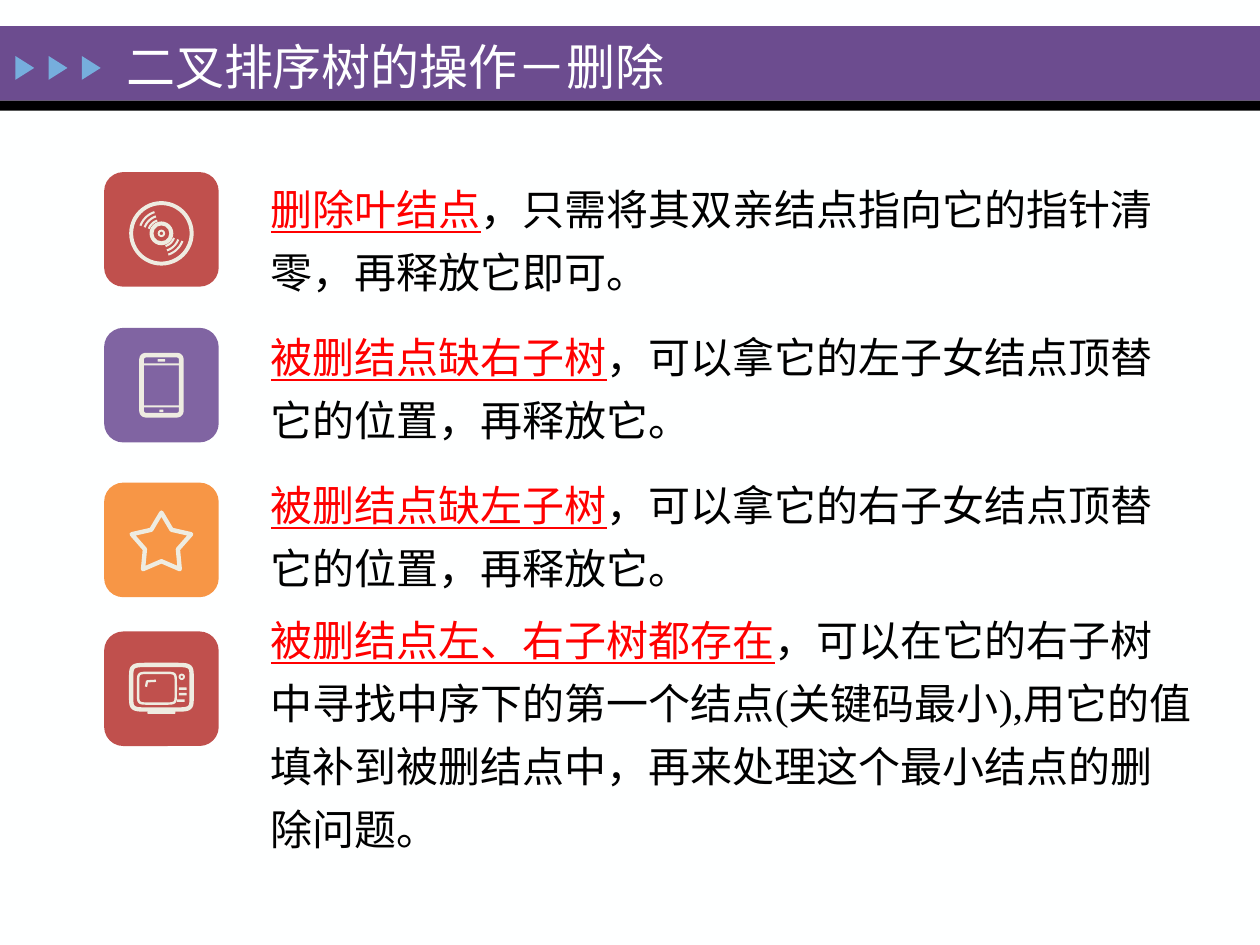
import math

import pptx
import pptx.dml.color
import pptx.enum.shapes
import pptx.enum.text
import pptx.util

Cm = pptx.util.Cm
Pt = pptx.util.Pt
SHAPE = pptx.enum.shapes.MSO_SHAPE
FONT = "Times New Roman"
COLORS = {
    "background": "FEFFFF", "band": "6C4C8F", "rule": "000000",
    "arrow": "76AEDD", "title": "FEFFFF", "key": "FF0000", "text": "000000",
    "red": "C0504D", "purple": "8064A2", "orange": "F79646", "icon": "EEECE1",
}
TILE = 2.31

# Key phrase, explanation, space before in points
CASES = [
    ("删除叶结点", "，只需将其双亲结点指向它的指针清零，再释放它即可。", 12.5),
    ("被删结点缺右子树", "，可以拿它的左子女结点顶替它的位置，再释放它。", 12.5),
    ("被删结点缺左子树", "，可以拿它的右子女结点顶替它的位置，再释放它。", 12.5),
    ("被删结点左、右子树都存在",
     "，可以在它的右子树中寻找中序下的第一个结点(关键码最小),"
     "用它的值填补到被删结点中，再来处理这个最小结点的删除问题。", 5),
]


def color(name):
    return pptx.dml.color.RGBColor.from_string(COLORS[name])


def add_filled(slide, kind, left, top, width, height, fill):
    shape = slide.shapes.add_shape(kind, Cm(left), Cm(top), Cm(width), Cm(height))
    shape.shadow.inherit = False
    shape.fill.solid()
    shape.fill.fore_color.rgb = color(fill)
    shape.line.fill.background()
    return shape


def add_centred(slide, kind, center, offset, size, fill="icon"):
    """Place a filled shape by its middle, offset from the icon's center."""
    left = center[0] + offset[0] - size[0] / 2
    top = center[1] + offset[1] - size[1] / 2
    return add_filled(slide, kind, left, top, *size, fill)


def add_ring(slide, center, offset, diameter, thickness):
    ring = add_centred(slide, SHAPE.DONUT, center, offset, (diameter, diameter))
    ring.adjustments[0] = thickness / diameter


def style_stroke(shape, width):
    shape.shadow.inherit = False
    shape.fill.background()
    shape.line.color.rgb = color("icon")
    shape.line.width = Pt(width)


def add_stroke(slide, center, points, width, close=False):
    """Draw an outline through points given relative to the icon's center."""
    places = [(Cm(center[0] + x), Cm(center[1] + y)) for x, y in points]
    builder = slide.shapes.build_freeform(*places[0])
    builder.add_line_segments(places[1:], close=close)
    style_stroke(builder.convert_to_shape(), width)


def polar(radius, degrees):
    angle = math.radians(degrees)
    return radius * math.cos(angle), radius * math.sin(angle)


def barrel(offset, half_width, half_height):
    """Points of a rectangle with bulging sides and soft corners."""
    points = []
    for degrees in range(0, 360, 5):
        x, y = polar(1, degrees)
        points.append((offset[0] + half_width * math.copysign(abs(x) ** 0.25, x),
                       offset[1] + half_height * math.copysign(abs(y) ** 0.25, y)))
    return points


def draw_disc(slide, center):
    center = (center[0], center[1] + 0.08)
    for diameter, thickness in ((1.3, 0.08), (0.48, 0.08), (0.15, 0.04)):
        add_ring(slide, center, (0, 0), diameter, thickness)
    for start in (20, 200):
        for radius in (0.27, 0.36, 0.45):
            arc = [polar(radius, start + step) for step in range(0, 53, 4)]
            add_stroke(slide, center, arc, 1.2)


def draw_phone(slide, center):
    body = add_centred(slide, SHAPE.ROUNDED_RECTANGLE, center, (0, 0), (0.8, 1.21))
    body.adjustments[0] = 0.1
    style_stroke(body, 2.7)
    for y in (-0.42, 0.43):
        add_centred(slide, SHAPE.RECTANGLE, center, (0, y), (0.72, 0.04))
    for y, width in ((-0.5, 0.15), (0.52, 0.08)):
        add_centred(slide, SHAPE.ROUNDED_RECTANGLE, center, (0, y), (width, 0.05))


def draw_star(slide, center):
    center = (center[0], center[1] + 0.08)
    points = [polar(0.35 if index % 2 else 0.63, index * 36 - 90)
              for index in range(10)]
    add_stroke(slide, center, points, 2.5, close=True)


def draw_television(slide, center):
    add_stroke(slide, center, barrel((0, -0.03), 0.61, 0.45), 2.5, close=True)
    add_stroke(slide, center, barrel((-0.09, -0.01), 0.38, 0.31), 1.4, close=True)
    add_stroke(slide, center, [(-0.31, -0.04), (-0.29, -0.15), (-0.11, -0.16)], 1.3)
    add_centred(slide, SHAPE.ROUNDED_RECTANGLE, center, (0, 0.47), (0.56, 0.07))
    add_ring(slide, center, (0.41, -0.24), 0.13, 0.04)
    for x, y in ((0.43, 0), (0.43, 0.11), (0.39, 0.24)):
        add_centred(slide, SHAPE.ROUNDED_RECTANGLE, center, (x, y), (0.16, 0.05))


def add_run(paragraph, text, size, fill, underline=None):
    run = paragraph.add_run()
    run.text = text
    run.font.name = FONT
    run.font.size = Pt(size)
    run.font.color.rgb = color(fill)
    run.font.underline = underline


def add_header(slide, left, top, width):
    # Band, rule and three arrowheads
    add_filled(slide, SHAPE.RECTANGLE, left, top, width, 1.5, "band")
    add_filled(slide, SHAPE.RECTANGLE, left, top + 1.5, width, 0.2, "rule")
    for index in range(3):
        arrow = add_filled(slide, SHAPE.ISOSCELES_TRIANGLE,
                           left + 0.26 + 0.67 * index, top + 0.65, 0.48, 0.38, "arrow")
        arrow.rotation = 90

    # Title, brought in front of the band
    title = slide.shapes.title
    title.left, title.top = Cm(left + 2.29), Cm(top + 0.08)
    title.width, title.height = Cm(17.78), Cm(1.42)
    title.element.getparent().append(title.element)
    frame = title.text_frame
    frame.auto_size = pptx.enum.text.MSO_AUTO_SIZE.NONE
    frame.vertical_anchor = pptx.enum.text.MSO_ANCHOR.MIDDLE
    paragraph = frame.paragraphs[0]
    paragraph.alignment = pptx.enum.text.PP_ALIGN.LEFT
    add_run(paragraph, "二叉排序树的操作－删除", 28, "title")


def add_cases(slide, left, top, width, height):
    box = slide.shapes.add_textbox(Cm(left), Cm(top), Cm(width), Cm(height))
    frame = box.text_frame
    frame.word_wrap = True
    for index, (key, explanation, space) in enumerate(CASES):
        paragraph = frame.add_paragraph() if index else frame.paragraphs[0]
        paragraph.line_spacing = 1.25
        paragraph.space_before = Pt(space)
        add_run(paragraph, key, 24, "key", True)
        add_run(paragraph, explanation, 24, "text")


def add_tile(slide, left, top, fill, draw_icon):
    add_filled(slide, SHAPE.ROUNDED_RECTANGLE, left, top, TILE, TILE, fill)
    draw_icon(slide, (left + TILE / 2, top + TILE / 2))


def main():
    presentation = pptx.Presentation()
    presentation.slide_width, presentation.slide_height = Cm(25.4), Cm(19.05)
    slide = presentation.slides.add_slide(presentation.slide_layouts[5])
    slide.background.fill.solid()
    slide.background.fill.fore_color.rgb = color("background")

    add_header(slide, 0, 0.53, 25.4)
    add_cases(slide, 5.21, 3.33, 19.1, 14.3)
    for top, fill, draw_icon in ((3.47, "red", draw_disc),
                                 (6.61, "purple", draw_phone),
                                 (9.73, "orange", draw_star),
                                 (12.73, "red", draw_television)):
        add_tile(slide, 2.1, top, fill, draw_icon)
    presentation.save("out.pptx")


if __name__ == "__main__":
    main()
